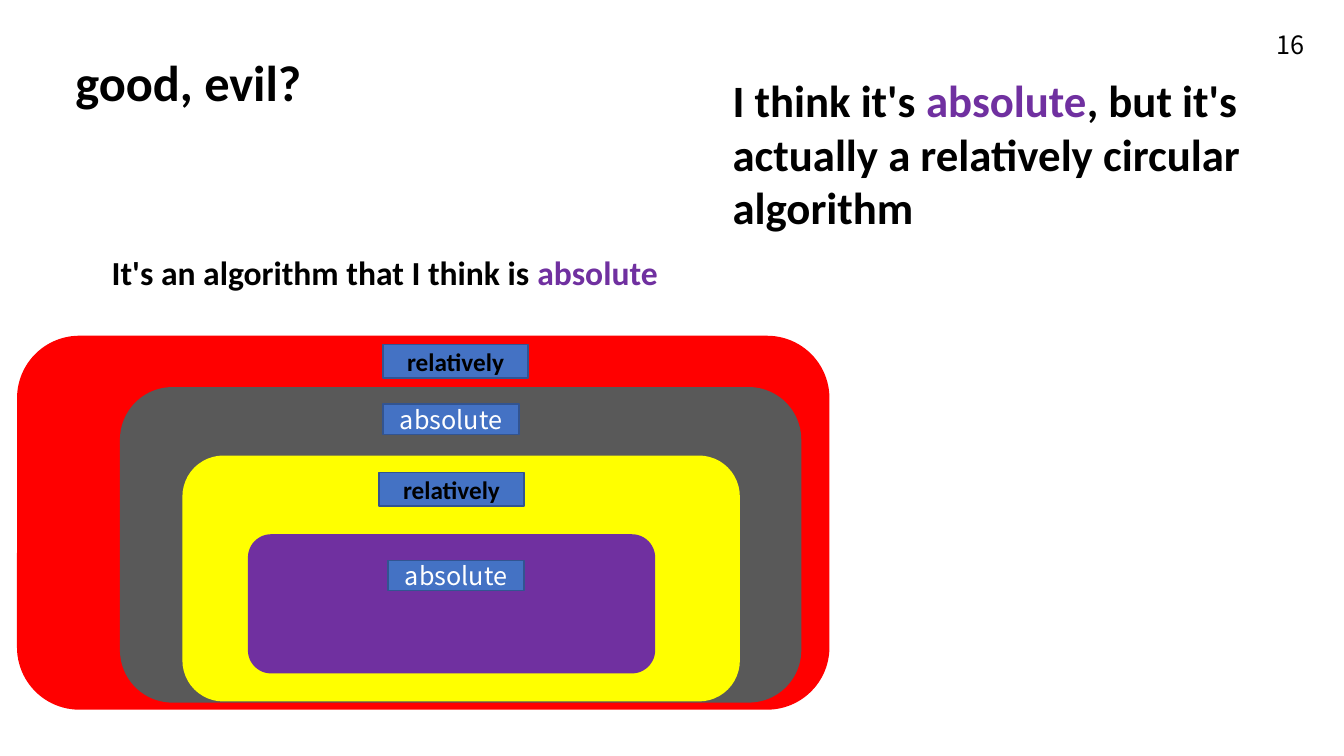
from pptx import Presentation
from pptx.dml.color import RGBColor
from pptx.enum.shapes import MSO_SHAPE
from pptx.enum.text import MSO_ANCHOR, PP_ALIGN
from pptx.util import Pt

ROUNDED = MSO_SHAPE.ROUNDED_RECTANGLE
RECTANGLE = MSO_SHAPE.RECTANGLE
MIDDLE = MSO_ANCHOR.MIDDLE
CENTER = PP_ALIGN.CENTER

COLORS = {
    "black": "000000",
    "white": "FFFFFF",
    "red": "FF0000",
    "gray": "595959",
    "yellow": "FFFF00",
    "purple": "7030A0",
    "blue": "4472C4",
    "outline": "325491",
}
LATIN_FONT = "Calibri"
KOREAN_FONT = "Noto Sans CJK KR"


def add_run(paragraph, text, size, font, color, bold):
    run = paragraph.add_run()
    run.text = text
    run.font.size = Pt(size)
    run.font.name = font
    run.font.bold = bold
    run.font.color.rgb = RGBColor.from_string(COLORS[color])


def add_block(slide, kind, box, color):
    shape = slide.shapes.add_shape(kind, *map(Pt, box))
    shape.shadow.inherit = False
    shape.fill.solid()
    shape.fill.fore_color.rgb = RGBColor.from_string(COLORS[color])
    shape.line.fill.background()
    return shape


presentation = Presentation()
presentation.slide_width = Pt(960)
presentation.slide_height = Pt(540)
slide = presentation.slides.add_slide(presentation.slide_layouts[6])

layers = [
    ((12.2, 239.8, 580.3, 267.1), "red"),
    ((85.7, 276.5, 486.7, 225.4), "gray"),
    ((130.3, 325.4, 398.2, 175.7), "yellow"),
    ((177.1, 381.6, 290.9, 99.4), "purple"),
]
for box, color in layers:
    add_block(slide, ROUNDED, box, color)

texts = [
    ((46.8, 33.1, 177.8, 51.1), 36, LATIN_FONT, True, False,
     [("good, evil?", "black")]),
    ((72.7, 176.4, 408.2, 36), 24, LATIN_FONT, True, False,
     [("It's an algorithm that I think is ", "black"), ("absolute", "purple")]),
    ((516.2, 48.2, 480.2, 123.8), 32, LATIN_FONT, True, True,
     [("I think it's ", "black"), ("absolute", "purple"),
      (", but it's actually a relatively circular algorithm", "black")]),
    ((905, 17.3, 43.9, 28.8), 18, KOREAN_FONT, False, True,
     [("16", "black")]),
]
for box, size, font, bold, wrap, runs in texts:
    text_box = slide.shapes.add_textbox(*map(Pt, box))
    text_box.text_frame.word_wrap = wrap
    for text, color in runs:
        add_run(text_box.text_frame.paragraphs[0], text, size, font, color, bold)

label_styles = {
    "relatively": (103.7, 23.8, LATIN_FONT, "black", True),
    "absolute": (97.2, 21.6, KOREAN_FONT, "white", False),
}
labels = [
    ("relatively", 273.6, 246.2),
    ("absolute", 273.6, 288.7),
    ("relatively", 270.7, 337.7),
    ("absolute", 277.2, 400.3),
]
for text, left, top in labels:
    width, height, font, color, bold = label_styles[text]
    label = add_block(slide, RECTANGLE, (left, top, width, height), "blue")
    label.line.color.rgb = RGBColor.from_string(COLORS["outline"])
    label.line.width = Pt(1)
    label.text_frame.vertical_anchor = MIDDLE
    label.text_frame.word_wrap = True
    paragraph = label.text_frame.paragraphs[0]
    paragraph.alignment = CENTER
    add_run(paragraph, text, 18, font, color, bold)

presentation.save("out.pptx")
